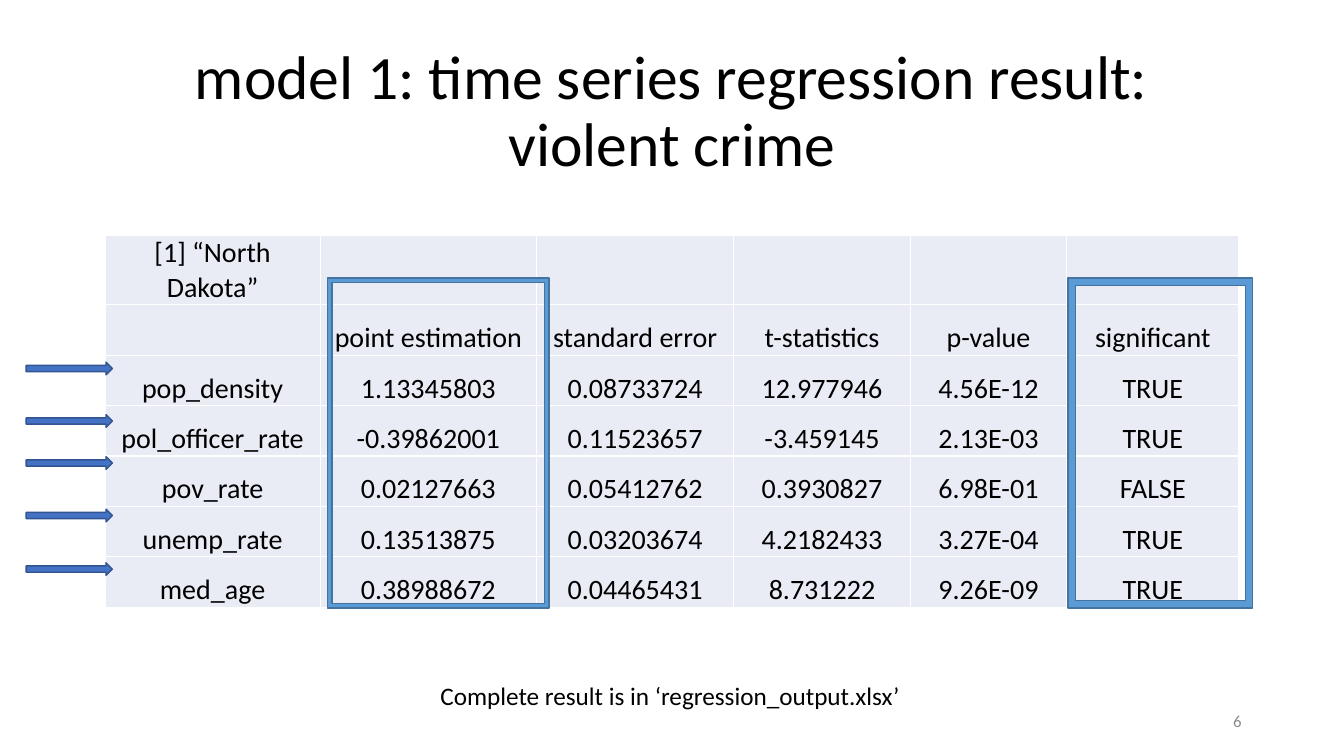
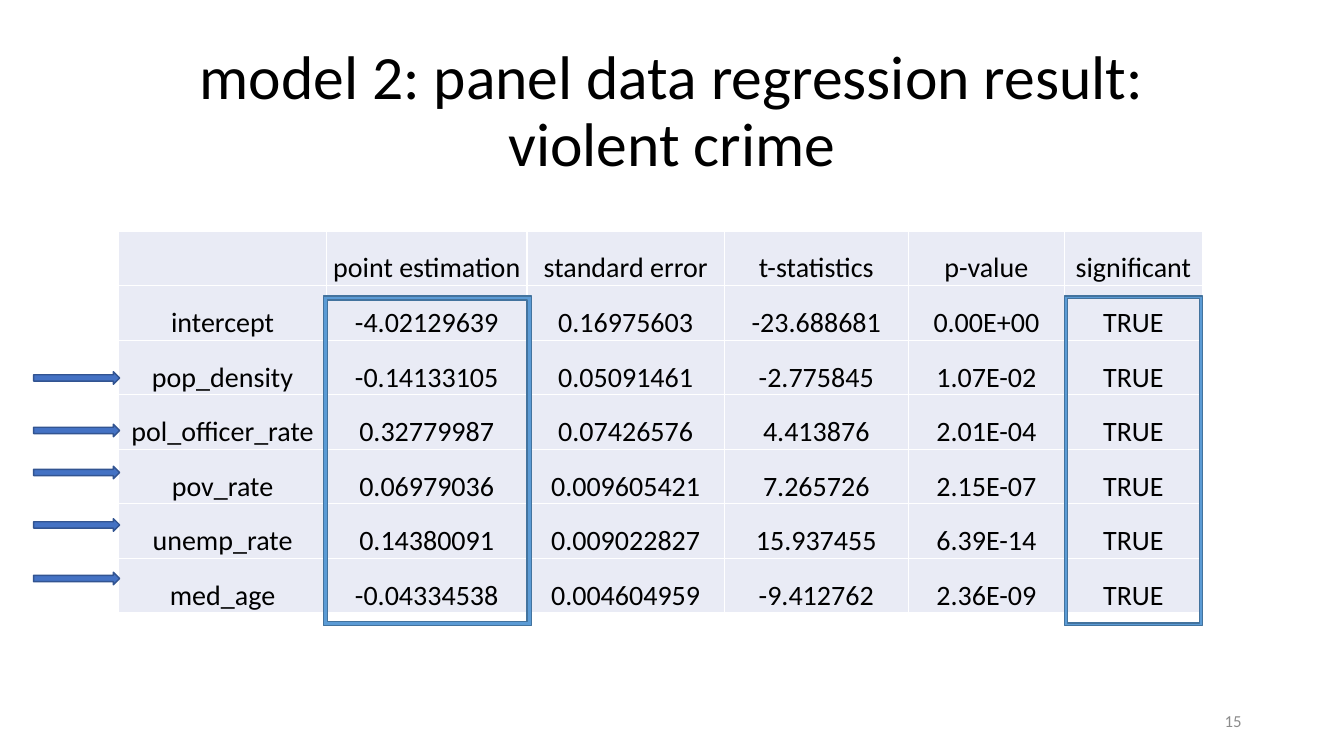
"""Build two slides of regression results for violent crime."""
import pptx
import pptx.dml.color
import pptx.enum.shapes
import pptx.enum.text
import pptx.util
import lxml.etree

PX = 9525
FONT = "Calibri"
BLACK, WHITE, GREY = "000000", "FFFFFF", "8C8C8C"
CELL_FILL = "E9EBF5"
FRAME_COLORS = ("5B9BD5", "43739E")
ARROW_COLORS = ("4472C4", "325491")
TITLE_PLACE = (88, 38, 1104, 139)
NUMBER_PLACE = (904, 667, 288, 38)
ARROW_SIZE = (82, 12)
ARROW_STEPS = (0, 50, 90, 140, 191)
FRAME_HEIGHT = 314

ALIGN = pptx.enum.text.PP_ALIGN
ANCHOR = pptx.enum.text.MSO_ANCHOR
SHAPE = pptx.enum.shapes.MSO_SHAPE

HEADINGS = ("", "point estimation", "standard error", "t-statistics", "p-value", "significant")

SLIDES = [
    {
        "title": ("model 1: time series regression result:", "violent crime"),
        "rows": [
            ("[1] “North Dakota”", "", "", "", "", ""),
            HEADINGS,
            ("pop_density", "1.13345803", "0.08733724", "12.977946", "4.56E-12", "TRUE"),
            ("pol_officer_rate", "-0.39862001", "0.11523657", "-3.459145", "2.13E-03", "TRUE"),
            ("pov_rate", "0.02127663", "0.05412762", "0.3930827", "6.98E-01", "FALSE"),
            ("unemp_rate", "0.13513875", "0.03203674", "4.2182433", "3.27E-04", "TRUE"),
            ("med_age", "0.38988672", "0.04465431", "8.731222", "9.26E-09", "TRUE"),
        ],
        "table_corner": (100, 224),
        "columns": (205, 206, 188, 168, 149, 164),
        "row_height": 48,
        "frame_top": 265,
        "frames": [(1017, 176, 0.04), (312, 211, 0.02)],
        "arrow_corner": (25, 345),
        "note": "Complete result is in ‘regression_output.xlsx’",
        "note_place": (410, 643, 462, 38),
        "number": "6",
    },
    {
        "title": ("model 2: panel data regression result:", "violent crime"),
        "rows": [
            HEADINGS,
            ("intercept", "-4.02129639", "0.16975603", "-23.688681", "0.00E+00", "TRUE"),
            ("pop_density", "-0.14133105", "0.05091461", "-2.775845", "1.07E-02", "TRUE"),
            ("pol_officer_rate", "0.32779987", "0.07426576", "4.413876", "2.01E-04", "TRUE"),
            ("pov_rate", "0.06979036", "0.009605421", "7.265726", "2.15E-07", "TRUE"),
            ("unemp_rate", "0.14380091", "0.009022827", "15.937455", "6.39E-14", "TRUE"),
            ("med_age", "-0.04334538", "0.004604959", "-9.412762", "2.36E-09", "TRUE"),
        ],
        "table_corner": (113, 220),
        "columns": (198, 191, 188, 175, 149, 131),
        "row_height": 52,
        "frame_top": 282,
        "frames": [(308, 198, 0.02), (1014, 131, 0.02)],
        "arrow_corner": (32, 354),
        "number": "15",
    },
]


def px(*lengths):
    return [pptx.util.Emu(length * PX) for length in lengths]


def color(value):
    return pptx.dml.color.RGBColor.from_string(value)


def style(para, size, ink, align):
    para.alignment = align
    para.font.size = pptx.util.Pt(size)
    para.font.name = FONT
    para.font.color.rgb = color(ink)


def add_text(page, place, lines, size, ink=BLACK, align=ALIGN.LEFT, anchor=ANCHOR.MIDDLE, wrap=True):
    frame = page.shapes.add_textbox(*px(*place)).text_frame
    frame.word_wrap = wrap
    frame.vertical_anchor = anchor
    para = frame.paragraphs[0]
    for index, line in enumerate(lines):
        if index:
            para.add_line_break()
        para.add_run().text = line
    style(para, size, ink, align)
    return para


def add_preset(page, kind, place, colors):
    shape = page.shapes.add_shape(kind, *px(*place))
    shape.shadow.inherit = False
    fill, line = colors
    shape.fill.solid()
    shape.fill.fore_color.rgb = color(fill)
    shape.line.color.rgb = color(line)
    shape.line.width = pptx.util.Pt(1)
    return shape


def add_borders(cell):
    namespace = "{http://schemas.openxmlformats.org/drawingml/2006/main}"
    properties = cell._tc.get_or_add_tcPr()
    for side in ("lnL", "lnR", "lnT", "lnB"):
        border = lxml.etree.SubElement(properties, namespace + side, w=str(pptx.util.Pt(1)))
        fill = lxml.etree.SubElement(border, namespace + "solidFill")
        lxml.etree.SubElement(fill, namespace + "srgbClr", val=WHITE)


def fill_cell(cell, text):
    add_borders(cell)
    cell.fill.solid()
    cell.fill.fore_color.rgb = color(CELL_FILL)
    if text:
        cell.margin_left, cell.margin_right, cell.margin_top, cell.margin_bottom = px(2, 2, 1, 0)
        cell.vertical_anchor = ANCHOR.BOTTOM
        cell.text = text
        style(cell.text_frame.paragraphs[0], 20, BLACK, ALIGN.CENTER)


def add_results(page, corner, rows, columns, row_height):
    size = (sum(columns), row_height * len(rows))
    table = page.shapes.add_table(len(rows), len(columns), *px(*corner, *size)).table
    table.first_row = table.horz_banding = False
    for column, width in zip(table.columns, px(*columns)):
        column.width = width
    for row, texts in zip(table.rows, rows):
        row.height = px(row_height)[0]
        for cell, text in zip(row.cells, texts):
            fill_cell(cell, text)


def build_slide(deck, content):
    page = deck.slides.add_slide(deck.slide_layouts[6])
    add_results(page, content["table_corner"], content["rows"], content["columns"], content["row_height"])
    title = add_text(page, TITLE_PLACE, content["title"], 44, align=ALIGN.CENTER)
    title.line_spacing = 0.9
    for left, width, thickness in content["frames"]:
        place = (left, content["frame_top"], width, FRAME_HEIGHT)
        add_preset(page, SHAPE.FRAME, place, FRAME_COLORS).adjustments[0] = thickness
    if "note" in content:
        add_text(page, content["note_place"], [content["note"]], 18, anchor=ANCHOR.TOP, wrap=False)
    left, top = content["arrow_corner"]
    for step in ARROW_STEPS:
        add_preset(page, SHAPE.RIGHT_ARROW, (left, top + step, *ARROW_SIZE), ARROW_COLORS)
    add_text(page, NUMBER_PLACE, [content["number"]], 12, GREY, ALIGN.RIGHT)


def main():
    deck = pptx.Presentation()
    deck.slide_width, deck.slide_height = px(1280, 720)
    for content in SLIDES:
        build_slide(deck, content)
    deck.save("out.pptx")


if __name__ == "__main__":
    main()
